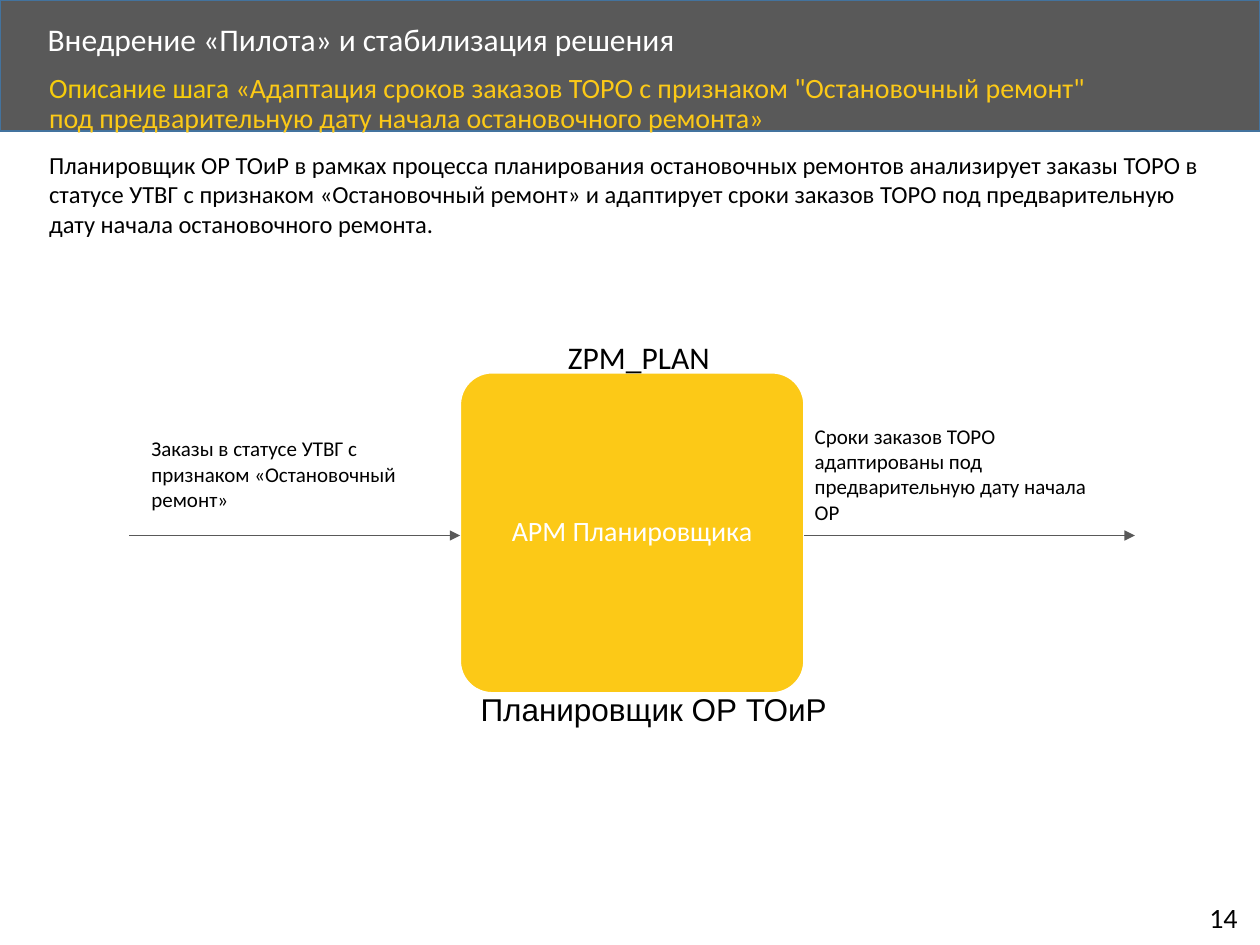
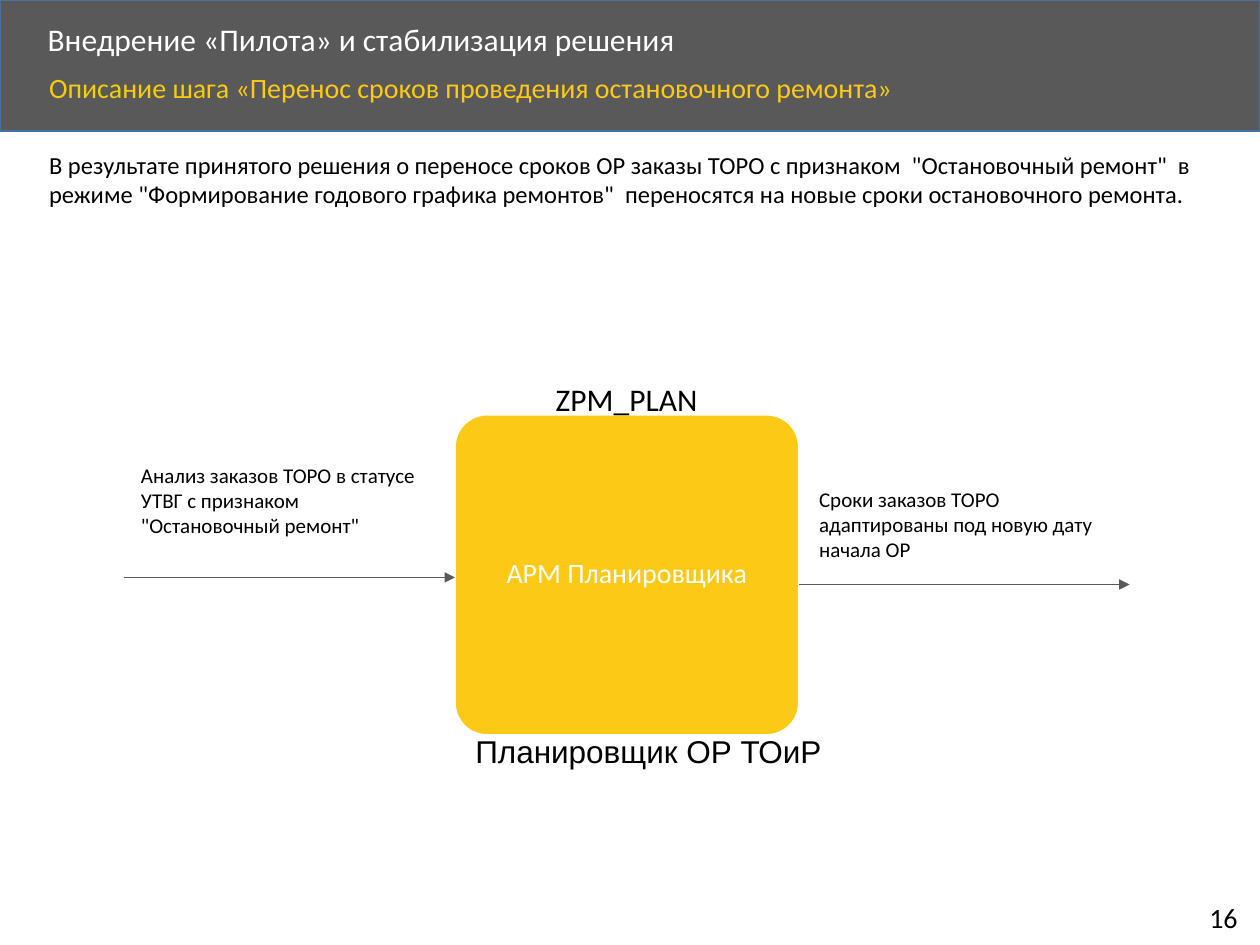
from dataclasses import dataclass

from lxml.etree import SubElement
from pptx import Presentation
from pptx.dml.color import RGBColor
from pptx.enum.shapes import MSO_CONNECTOR, MSO_SHAPE
from pptx.enum.text import MSO_ANCHOR, MSO_AUTO_SIZE, PP_ALIGN
from pptx.oxml.ns import qn
from pptx.util import Pt

SLIDE_WIDTH, SLIDE_HEIGHT = 720, 540
BAND_HEIGHT = 75
BOX_WIDTH, BOX_HEIGHT = 196.5, 183
ARROW_LENGTH = 189

DARK_GREY = RGBColor(0x59, 0x59, 0x59)
BAND_BORDER = RGBColor(0x43, 0x73, 0x9E)
YELLOW = RGBColor(0xFC, 0xC9, 0x17)
STEP_YELLOW = RGBColor(0xF6, 0xCC, 0x0C)
WHITE = RGBColor(0xFF, 0xFF, 0xFF)
BLACK = RGBColor(0x00, 0x00, 0x00)

SECTION_TITLE = "Внедрение «Пилота» и стабилизация решения"


@dataclass
class Step:
    number: str
    name: str
    description: str
    box_origin: tuple
    input_text: str
    output_text: str
    # Offsets from the top left corner of the box
    transaction_offset: tuple
    input_offset: tuple
    output_offset: tuple
    output_arrow_drop: float


STEPS = [
    Step(
        number="14",
        name='«Адаптация сроков заказов ТОРО с признаком "Остановочный ремонт" '
             "под предварительную дату начала остановочного ремонта»",
        description="Планировщик ОР ТОиР в рамках процесса планирования остановочных "
                    "ремонтов анализирует заказы ТОРО в статусе УТВГ с признаком "
                    "«Остановочный ремонт» и адаптирует сроки заказов ТОРО под "
                    "предварительную дату начала остановочного ремонта.",
        box_origin=(263, 213),
        input_text="Заказы в статусе УТВГ с признаком «Остановочный ремонт»",
        output_text="Сроки заказов ТОРО адаптированы под предварительную дату начала ОР",
        transaction_offset=(54.5, -23.5),
        input_offset=(-183.5, 32.5),
        output_offset=(195.5, 25.5),
        output_arrow_drop=93,
    ),
    Step(
        number="16",
        name="«Перенос сроков проведения остановочного ремонта»",
        description="В результате принятого решения о переносе сроков ОР заказы ТОРО "
                    'с признаком  "Остановочный ремонт"  в режиме "Формирование годового '
                    'графика ремонтов"  переносятся на новые сроки остановочного ремонта.',
        box_origin=(260, 237),
        input_text='Анализ заказов ТОРО в статусе УТВГ с признаком "Остановочный ремонт"',
        output_text="Сроки заказов ТОРО адаптированы под новую дату начала ОР",
        transaction_offset=(50.5, -23.5),
        input_offset=(-186.5, 23.5),
        output_offset=(201, 37.5),
        output_arrow_drop=97,
    ),
]


def add_run(paragraph, text, size, color=BLACK, font_name="Calibri"):
    run = paragraph.add_run()
    run.text = text
    run.font.name = font_name
    run.font.size = Pt(size)
    run.font.color.rgb = color


def add_text(slide, left, top, width, height, runs, wrap=True, line_spacing=None):
    """Add a one-paragraph text box; each run is (text, size, color, font)."""
    text_box = slide.shapes.add_textbox(Pt(left), Pt(top), Pt(width), Pt(height))
    text_box.text_frame.word_wrap = wrap
    paragraph = text_box.text_frame.paragraphs[0]
    paragraph.line_spacing = line_spacing
    for run in runs:
        add_run(paragraph, *run)


def add_filled_shape(slide, kind, left, top, width, height, fill, border):
    shape = slide.shapes.add_shape(kind, Pt(left), Pt(top), Pt(width), Pt(height))
    shape.shadow.inherit = False
    shape.fill.solid()
    shape.fill.fore_color.rgb = fill
    shape.line.color.rgb = border
    shape.line.width = Pt(1)
    return shape


def add_arrow(slide, left, top, length):
    arrow = slide.shapes.add_connector(
        MSO_CONNECTOR.STRAIGHT, Pt(left), Pt(top), Pt(left + length), Pt(top))
    arrow.line.color.rgb = DARK_GREY
    arrow.line.width = Pt(0.5)
    SubElement(arrow.line._get_or_add_ln(), qn("a:tailEnd"), type="triangle")
    SubElement(arrow._element.spPr, qn("a:effectLst"))


def add_header(slide, step):
    # Band behind the title
    band = add_filled_shape(slide, MSO_SHAPE.RECTANGLE, 0, 0, SLIDE_WIDTH, BAND_HEIGHT,
                            DARK_GREY, BAND_BORDER)
    slide.shapes._spTree.insert(2, band._element)

    # Section title
    title = slide.shapes.title
    title.left, title.top, title.width, title.height = Pt(20), Pt(10), Pt(581), Pt(27.5)
    frame = title.text_frame
    frame.auto_size = MSO_AUTO_SIZE.NONE
    frame.vertical_anchor = MSO_ANCHOR.MIDDLE
    paragraph = frame.paragraphs[0]
    paragraph.alignment = PP_ALIGN.LEFT
    paragraph.line_spacing = 0.9
    add_run(paragraph, SECTION_TITLE, 18, WHITE)

    # Step name
    add_text(slide, 21, 39, 623, 32.5,
             [("Описание шага ", 16, STEP_YELLOW), (step.name, 16, YELLOW)],
             line_spacing=0.9)


def add_process(slide, step):
    left, top = step.box_origin

    # Tool box
    box = add_filled_shape(slide, MSO_SHAPE.ROUNDED_RECTANGLE, left, top,
                           BOX_WIDTH, BOX_HEIGHT, YELLOW, WHITE)
    box.adjustments[0] = 0.1
    box.text_frame.word_wrap = True
    box.text_frame.vertical_anchor = MSO_ANCHOR.MIDDLE
    paragraph = box.text_frame.paragraphs[0]
    paragraph.alignment = PP_ALIGN.CENTER
    paragraph.line_spacing = 0.9
    add_run(paragraph, "АРМ Планировщика", 16, WHITE)

    # Arrows in and out
    add_arrow(slide, left - ARROW_LENGTH, top + 93, ARROW_LENGTH)
    add_arrow(slide, left + BOX_WIDTH, top + step.output_arrow_drop, ARROW_LENGTH)

    # Transaction above, role below
    across, down = step.transaction_offset
    add_text(slide, left + across, top + down, 96.5, 29, [("ZPM_PLAN", 18)], wrap=False)
    add_text(slide, left + 4.5, top + 178, 228, 29,
             [("Планировщик ОР ТОиР", 18, BLACK, "Arial")])

    # Arrow labels
    for text, (across, down) in ((step.input_text, step.input_offset),
                                 (step.output_text, step.output_offset)):
        add_text(slide, left + across, top + down, 185, 51, [(text, 12)])


def add_step_slide(presentation, step):
    slide = presentation.slides.add_slide(presentation.slide_layouts[5])
    add_header(slide, step)
    add_text(slide, 21, 82, 681, 58, [(step.description, 14)])
    add_process(slide, step)
    # Page number
    add_text(slide, 684, 511, 33, 26.5, [(step.number, 16)], wrap=False)


def main():
    presentation = Presentation()
    presentation.slide_width = Pt(SLIDE_WIDTH)
    presentation.slide_height = Pt(SLIDE_HEIGHT)
    for step in STEPS:
        add_step_slide(presentation, step)
    presentation.save("out.pptx")


if __name__ == "__main__":
    main()
